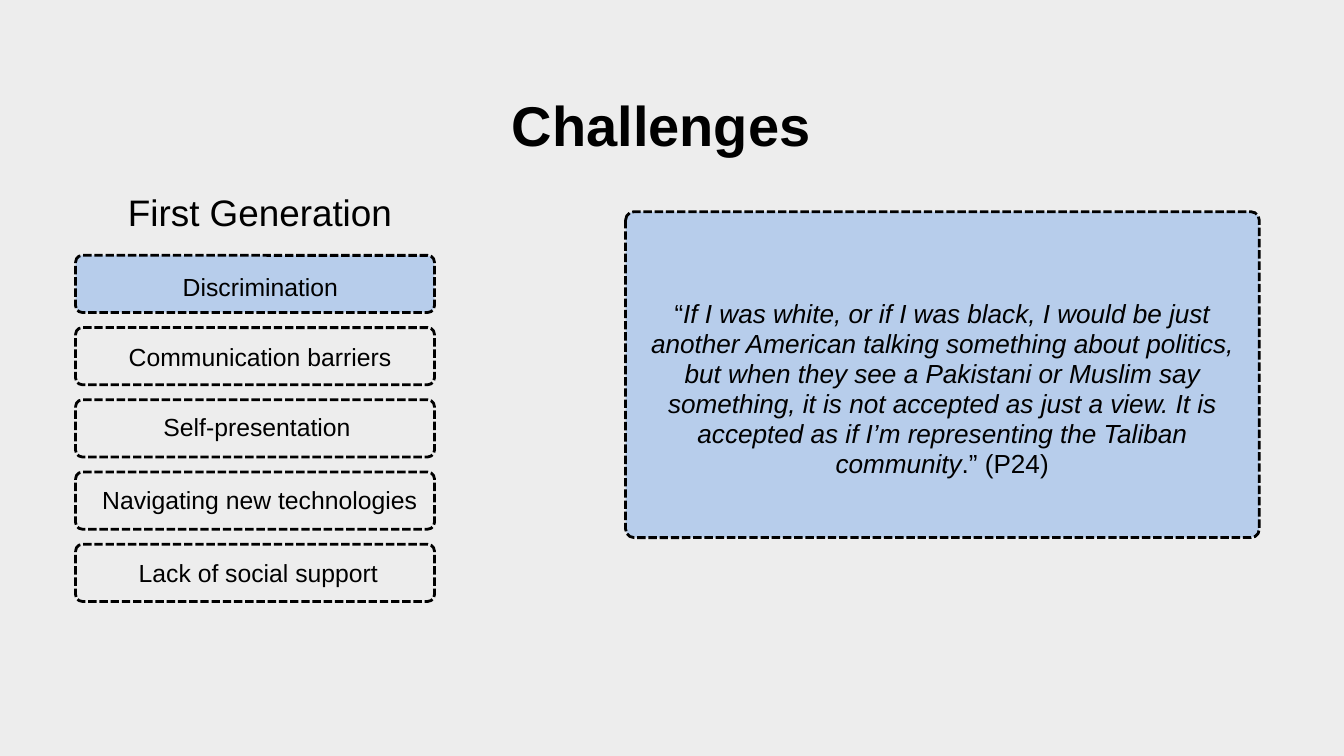
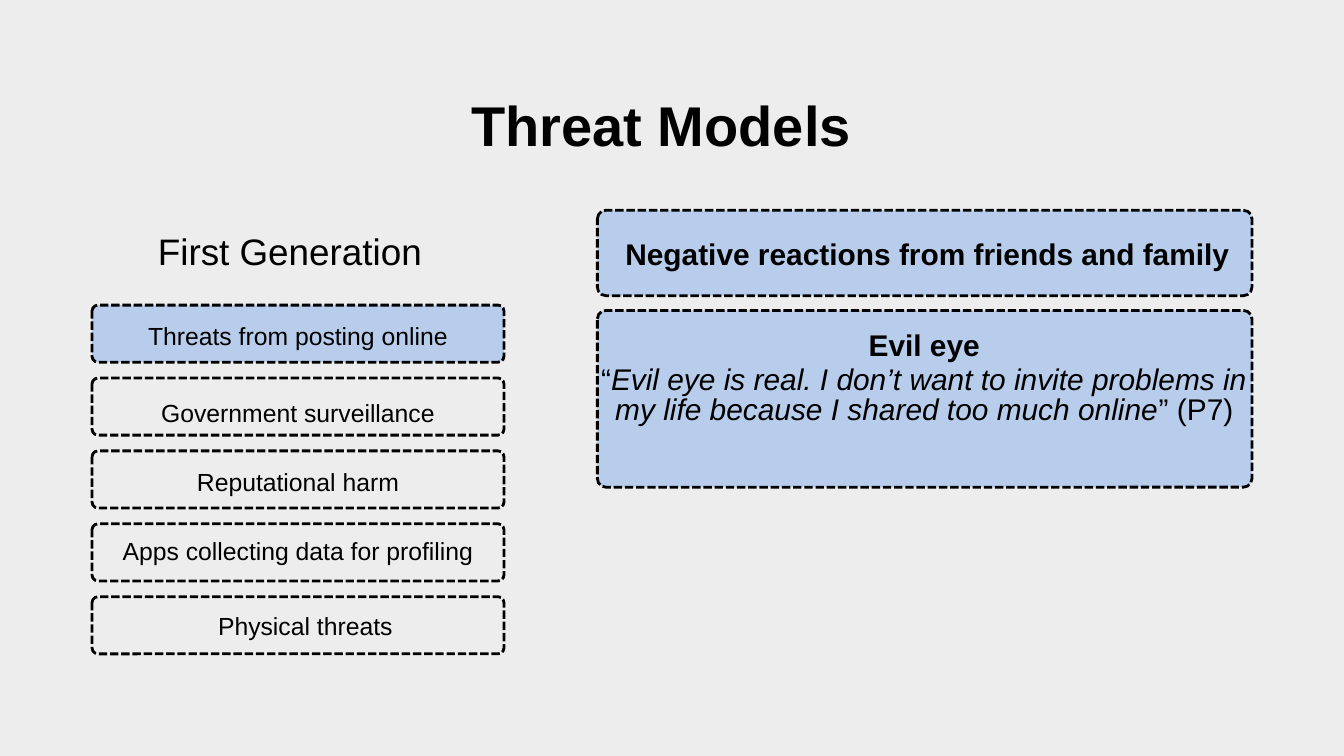
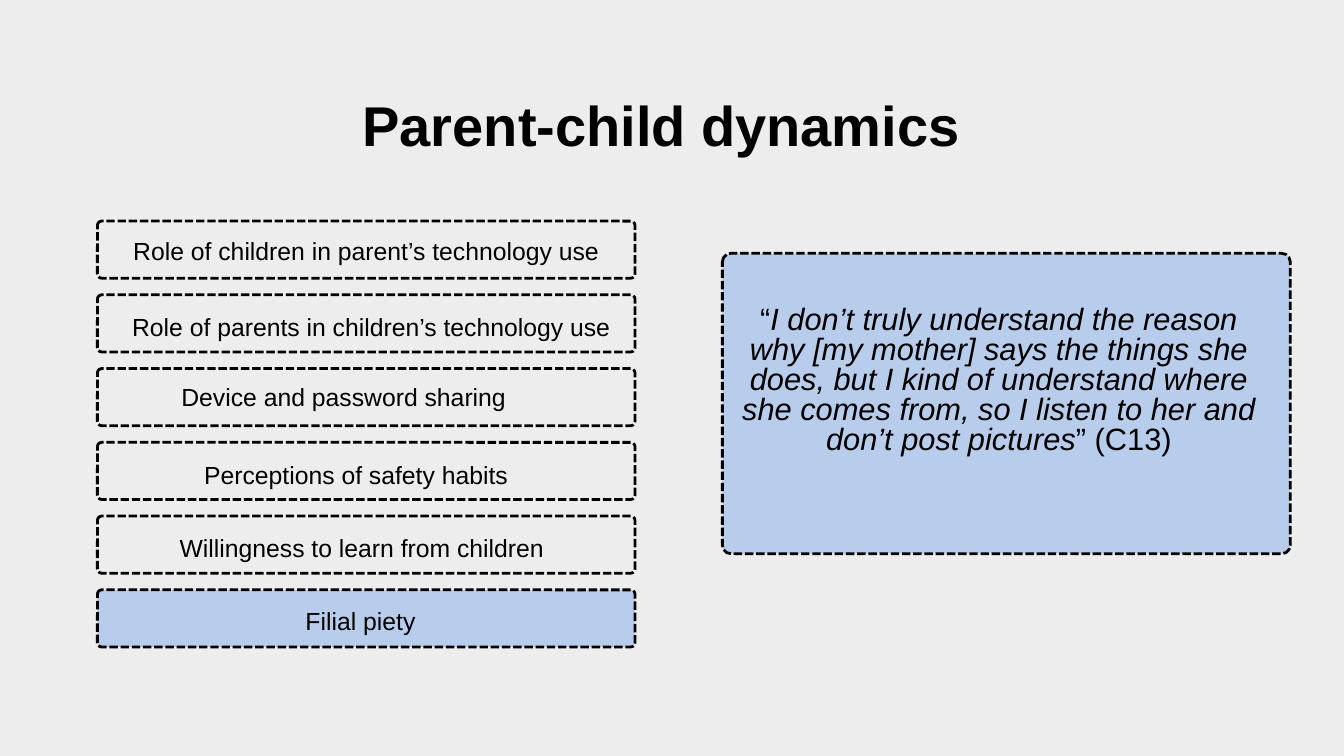
import pptx
import pptx.dml.color
import pptx.enum.dml
import pptx.enum.shapes
import pptx.enum.text
import pptx.util

PAPER = pptx.dml.color.RGBColor(0xED, 0xED, 0xED)
HIGHLIGHT = pptx.dml.color.RGBColor(0xB7, 0xCD, 0xEB)
INK = pptx.dml.color.RGBColor(0x00, 0x00, 0x00)
FONT = "Arial"

# Text styles: size and line spacing in points
TITLE = (60, 60)
HEADING = (39.5, 55.3)
LABEL = (26.5, 37.1)

# The slide is a grid of 80 columns by 45 rows of square cells
deck = pptx.Presentation()
deck.slide_width = pptx.util.Inches(20)
deck.slide_height = pptx.util.Inches(11.25)
CELL = deck.slide_width / 80
BOX_HEIGHT = 3.4
PANEL_RADIUS = 0.5
deck.slide_master.background.fill.solid()
deck.slide_master.background.fill.fore_color.rgb = PAPER


def add_box(page, area, radius, filled):
    """Draw a dashed rounded box; area is left, top, width, height in cells."""
    box = page.shapes.add_shape(
        pptx.enum.shapes.MSO_SHAPE.ROUNDED_RECTANGLE, *[int(n * CELL) for n in area])
    box.adjustments[0] = radius / min(area[2:])
    box.shadow.inherit = False
    if filled:
        box.fill.solid()
        box.fill.fore_color.rgb = HIGHLIGHT
    else:
        box.fill.background()
    box.line.color.rgb = INK
    box.line.width = pptx.util.Pt(3)
    box.line.dash_style = pptx.enum.dml.MSO_LINE.SQUARE_DOT


def add_text(page, area, style, spans):
    """Write one centred paragraph; spans are (text, "bold" / "italic" / "plain")."""
    size, spacing = style
    frame = page.shapes.add_textbox(*[int(n * CELL) for n in area]).text_frame
    frame.word_wrap = True
    frame.margin_left = frame.margin_right = frame.margin_top = frame.margin_bottom = 0
    para = frame.paragraphs[0]
    para.alignment = pptx.enum.text.PP_ALIGN.CENTER
    para.line_spacing = pptx.util.Pt(spacing)
    for text, look in spans:
        span = para.add_run()
        span.text = text
        span.font.name = FONT
        span.font.size = pptx.util.Pt(size)
        span.font.color.rgb = INK
        span.font.bold = look == "bold"
        span.font.italic = look == "italic"


# Each label has its shift from the box centre and its drop from the box top
slides = [
    {
        "title": "Challenges",
        "heading": (6.44, 10.88, 18.08, 2.8),
        "list": {"left": 4.5, "top": 15.2, "width": 21.36, "pitch": 4.3, "radius": 0.4},
        "labels": [
            ("Discrimination", 0.32, 0.68),
            ("Communication barriers", 0.3, 0.56),
            ("Self-presentation", 0.12, 0.44),
            ("Navigating new technologies", 0.28, 0.48),
            ("Lack of social support", 0.2, 0.48),
        ],
        "chosen": "Discrimination",
        "panels": [(37.24, 12.6, 37.72, 19.4)],
        "texts": [
            ((38, 17.8, 36.16, 10.76), (28, 32), [
                ("“", "plain"),
                ("If I was white, or if I was black, I would be just another American "
                 "talking something about politics, but when they see a Pakistani or "
                 "Muslim say something, it is not accepted as just a view. It is accepted "
                 "as if I’m representing the Taliban community", "italic"),
                (".” (P24)", "plain")]),
        ],
    },
    {
        "title": "Threat Models",
        "heading": (8.2, 13.16, 18.12, 2.8),
        "list": {"left": 5.48, "top": 18.16, "width": 24.52, "pitch": 4.34, "radius": 0.35},
        "labels": [
            ("Threats from posting online", 0, 0.64),
            ("Government surveillance", 0, 0.9),
            ("Reputational harm", 0, 0.68),
            ("Apps collecting data for profiling", 0, 0.42),
            ("Physical threats", 0.44, 0.52),
        ],
        "chosen": "Threats from posting online",
        "panels": [(35.56, 12.52, 38.96, 5.08), (35.56, 18.48, 38.96, 10.52)],
        "texts": [
            ((35.92, 14.36, 38.6, 3.6), (32, 32),
             [("Negative reactions from friends and family", "bold")]),
            ((35.72, 19.8, 38.6, 1.84), (32, 32), [("Evil eye", "bold")]),
            ((35.72, 21.84, 38.6, 3.64), (32, 32), [
                ("“", "plain"),
                ("Evil eye is real. I don’t want to invite problems in my life because "
                 "I shared too much online", "italic"),
                ("” (P7)", "plain")]),
        ],
    },
    {
        "title": "Parent-child dynamics",
        "heading": None,
        "list": {"left": 5.8, "top": 13.16, "width": 32, "pitch": 4.39, "radius": 0.25},
        "labels": [
            ("Role of children in parent’s technology use", 0, 0.6),
            ("Role of parents in children’s technology use", 0.3, 0.72),
            ("Device and password sharing", -1.34, 0.52),
            ("Perceptions of safety habits", -0.6, 0.72),
            ("Willingness to learn from children", -0.26, 0.68),
            ("Filial piety", -0.34, 0.68),
        ],
        "chosen": "Filial piety",
        "panels": [(43, 15.08, 33.8, 17.88)],
        "texts": [
            ((43.84, 18.28, 31.24, 9.04), (33, 32), [
                ("“", "plain"),
                ("I don’t truly understand the reason why [my mother] says the things "
                 "she does, but I kind of understand where she comes from, so I listen "
                 "to her and don’t post pictures", "italic"),
                ("” (C13)", "plain")]),
        ],
    },
]

for content in slides:
    page = deck.slides.add_slide(deck.slide_layouts[6])
    add_text(page, (20.48, 6.04, 37.76, 3.36), TITLE, [(content["title"], "bold")])
    if content["heading"]:
        add_text(page, content["heading"], HEADING, [("First Generation", "plain")])

    column = content["list"]
    for row, (label, shift, drop) in enumerate(content["labels"]):
        top = column["top"] + row * column["pitch"]
        add_box(page, (column["left"], top, column["width"], BOX_HEIGHT),
                column["radius"], label == content["chosen"])
        add_text(page, (column["left"] + shift, top + drop, column["width"], 1.88),
                 LABEL, [(label, "plain")])

    for panel in content["panels"]:
        add_box(page, panel, PANEL_RADIUS, True)
    for area, style, spans in content["texts"]:
        add_text(page, area, style, spans)

deck.save("out.pptx")
